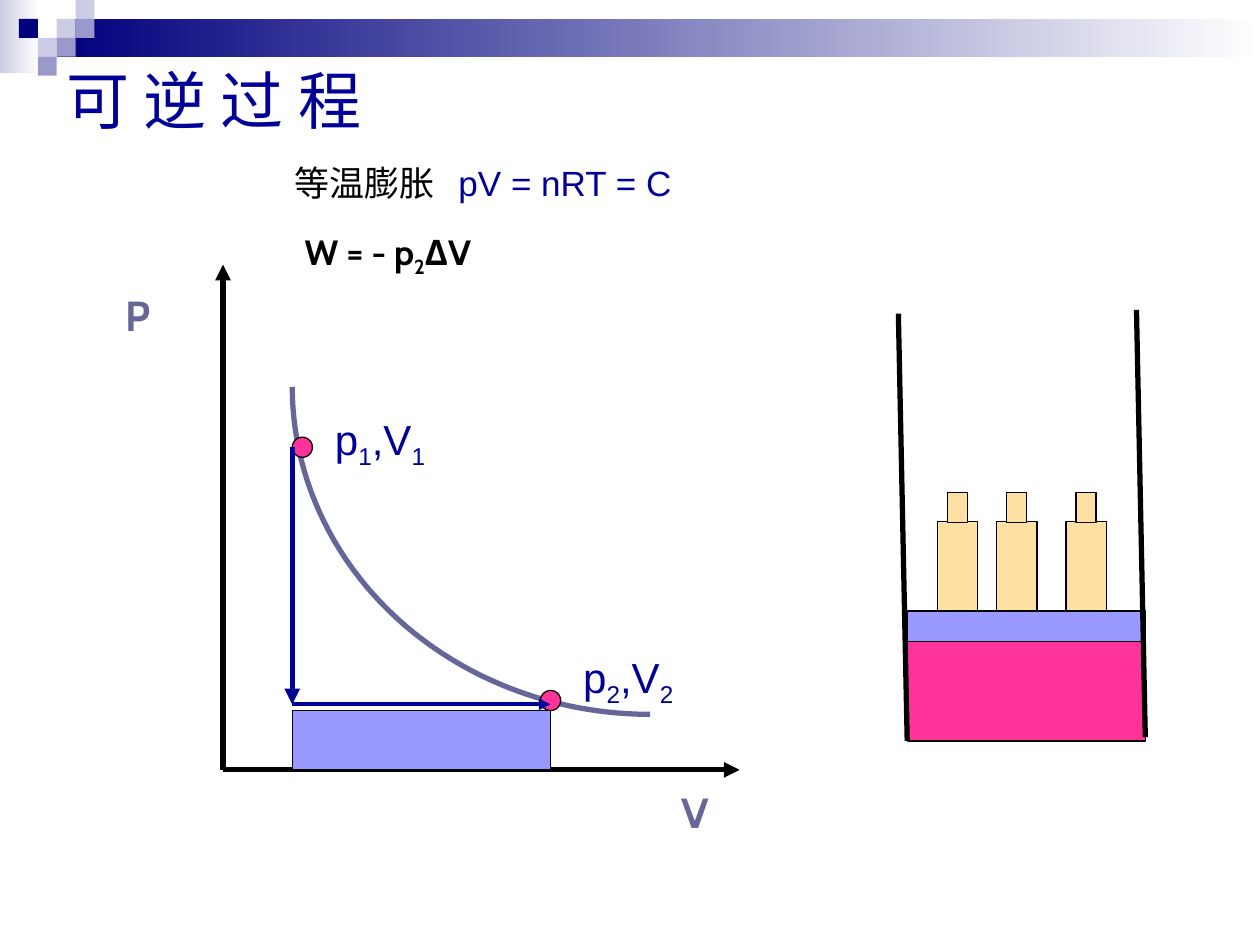
from dataclasses import dataclass
from math import cos, pi, sin

from lxml import etree
from pptx import Presentation
from pptx import util as u
from pptx.dml.color import RGBColor
from pptx.enum import shapes, text
from pptx.oxml import ns

NAVY = RGBColor(0x00, 0x00, 0x7D)
BLUE = RGBColor(0x00, 0x00, 0x99)
SLATE = RGBColor(0x66, 0x66, 0x99)
LAVENDER = RGBColor(0xCC, 0xCC, 0xE6)
MAUVE = RGBColor(0x99, 0x99, 0xCC)
PERIWINKLE = RGBColor(0x99, 0x99, 0xFF)
PINK = RGBColor(0xFF, 0x33, 0x99)
SAND = RGBColor(0xFF, 0xE0, 0xA3)
BLACK = RGBColor(0x00, 0x00, 0x00)
WHITE = RGBColor(0xFF, 0xFF, 0xFF)

RECTANGLE = shapes.MSO_SHAPE.RECTANGLE
OVAL = shapes.MSO_SHAPE.OVAL
SQUARE = 0.15
CURVE_STEPS = 48


@dataclass
class Frame:
    left: float
    top: float
    width: float
    height: float

    def lengths(self) -> list:
        return [u.Inches(value) for value in (self.left, self.top, self.width, self.height)]


@dataclass
class Span:
    words: str
    color: RGBColor
    subscript: bool = False


@dataclass
class Label:
    frame: Frame
    spans: list
    size: int
    name: str = "Arial"
    bold: bool = False
    tab: float = 0


@dataclass
class Line:
    start: tuple
    end: tuple
    color: RGBColor = BLACK
    width: float = 3
    arrow: bool = False


def add_block(page, frame: Frame, color: RGBColor, kind=RECTANGLE, outlined=True):
    block = page.shapes.add_shape(kind, *frame.lengths())
    block.shadow.inherit = False
    block.fill.solid()
    block.fill.fore_color.rgb = color
    if outlined:
        block.line.color.rgb = BLACK
        block.line.width = u.Pt(0.75)
    else:
        block.line.fill.background()
    return block


def add_fade(page, frame: Frame, color: RGBColor) -> None:
    fill = add_block(page, frame, color, outlined=False).fill
    fill.gradient()
    fill.gradient_angle = 0
    for stop, shade, position in zip(fill.gradient_stops, (color, WHITE), (0, 1)):
        stop.color.rgb = shade
        stop.position = position


def add_line(page, line: Line) -> None:
    ends = [u.Inches(value) for value in (*line.start, *line.end)]
    connector = page.shapes.add_connector(shapes.MSO_CONNECTOR.STRAIGHT, *ends)
    connector.line.color.rgb = line.color
    connector.line.width = u.Pt(line.width)
    if line.arrow:
        outline = connector.line._get_or_add_ln()
        etree.SubElement(outline, ns.qn("a:tailEnd"), type="triangle")
    etree.SubElement(connector._element.spPr, ns.qn("a:effectLst"))


def add_curve(page, frame: Frame) -> None:
    points = []
    for step in range(CURVE_STEPS + 1):
        angle = pi / 2 * step / CURVE_STEPS
        points.append((
            u.Inches(frame.left + frame.width * (1 - cos(angle))),
            u.Inches(frame.top + frame.height * sin(angle)),
        ))
    builder = page.shapes.build_freeform(*points[0])
    builder.add_line_segments(points[1:], close=False)
    curve = builder.convert_to_shape()
    curve.shadow.inherit = False
    curve.fill.background()
    curve.line.color.rgb = SLATE
    curve.line.width = u.Pt(3)


def write_label(box, label: Label) -> None:
    box.left, box.top, box.width, box.height = label.frame.lengths()
    frame_format = {
        "word_wrap": True,
        "auto_size": text.MSO_AUTO_SIZE.SHAPE_TO_FIT_TEXT,
        "vertical_anchor": text.MSO_ANCHOR.TOP,
    }
    for key, value in frame_format.items():
        setattr(box.text_frame, key, value)
    para = box.text_frame.paragraphs[0]
    para.alignment = text.PP_ALIGN.LEFT
    para.space_before = u.Pt(0)
    para.line_spacing = 1.0
    if label.tab:
        stops = etree.SubElement(para._p.get_or_add_pPr(), ns.qn("a:tabLst"))
        etree.SubElement(stops, ns.qn("a:tab"), pos=str(u.Inches(label.tab)), algn="l")
    font_format = {"size": u.Pt(label.size), "name": label.name, "bold": label.bold}
    for span in label.spans:
        run = para.add_run()
        run.text = span.words
        for key, value in font_format.items():
            setattr(run.font, key, value)
        run.font.color.rgb = span.color
        if span.subscript:
            run._r.get_or_add_rPr().set("baseline", "-25000")


def add_label(page, label: Label) -> None:
    write_label(page.shapes.add_textbox(*label.frame.lengths()), label)


def add_state(page, left: float, top: float, number: str) -> None:
    add_block(page, Frame(left, top, 0.16, 0.16), PINK, OVAL)
    spans = [
        Span("p", BLUE), Span(number, BLUE, True),
        Span(",V", BLUE), Span(number, BLUE, True),
    ]
    label_top = 3.23 if number == "1" else 5.12
    add_label(page, Label(Frame(left + 0.24, label_top, 1.18, 0.5), spans, 24))


def add_weight(page, left: float) -> None:
    add_block(page, Frame(left, 4.14, 0.32, 0.71), SAND)
    add_block(page, Frame(left + 0.08, 3.91, 0.16, 0.24), SAND)


def add_banner(page) -> None:
    add_fade(page, Frame(0, 0, 0.31, 0.58), LAVENDER)
    add_fade(page, Frame(0.45, 0.15, 9.55, 0.3), NAVY)
    checks = [
        (3, 1, LAVENDER), (4, 0, LAVENDER), (4, 1, MAUVE), (2, 2, LAVENDER),
        (1, 1, NAVY), (3, 2, MAUVE), (2, 3, MAUVE),
    ]
    for column, row, color in checks:
        frame = Frame(column * SQUARE, row * SQUARE, SQUARE, SQUARE)
        add_block(page, frame, color, outlined=False)


def add_piston(page) -> None:
    add_block(page, Frame(7.2, 5.09, 1.89, 0.79), PINK)
    add_block(page, Frame(7.2, 4.85, 1.89, 0.24), PERIWINKLE)
    add_line(page, Line((7.2, 5.88), (7.13, 2.49)))
    add_line(page, Line((9.09, 5.85), (9.02, 2.46)))
    for left in (7.44, 7.91, 8.46):
        add_weight(page, left)


def add_diagram(page) -> None:
    origin = (1.77, 6.11)
    corner = (2.32, 5.59)
    add_line(page, Line(origin, (1.77, 2.1), arrow=True))
    add_line(page, Line(origin, (5.87, 6.11), arrow=True))
    add_curve(page, Frame(2.32, 3.07, 2.84, 2.6))
    add_state(page, 2.32, 3.47, "1")
    add_state(page, 4.29, 5.48, "2")
    add_line(page, Line((2.32, 3.55), corner, BLUE, 3, True))
    add_line(page, Line(corner, (4.37, 5.59), BLUE, 2.25, True))
    add_block(page, Frame(2.32, 5.64, 2.05, 0.47), PERIWINKLE)
    for name, left, top in (("P", 0.9, 2.25), ("V", 5.31, 6.19)):
        add_label(page, Label(Frame(left, top, 0.55, 0.5), [Span(name, SLATE)], 24, "Cabin", True))


def main() -> None:
    deck = Presentation()
    deck.slide_width, deck.slide_height = u.Inches(10), u.Inches(7.5)
    page = deck.slides.add_slide(deck.slide_layouts[5])
    add_banner(page)
    write_label(page.shapes.title, Label(Frame(0.43, 0.44, 5.75, 0.7), [Span("可 逆 过 程", BLUE)], 36))
    law = [Span("等温膨胀\t", BLACK), Span("pV = nRT = C", BLUE)]
    add_label(page, Label(Frame(2.24, 1.23, 5.12, 0.43), law, 20, tab=1.3))
    add_diagram(page)
    add_piston(page)
    work = [Span("W = - p", BLACK), Span("2", BLACK, True), Span("ΔV", BLACK)]
    add_label(page, Label(Frame(2.32, 1.78, 3.31, 0.43), work, 20, "Cabin", True))
    deck.save("out.pptx")


if __name__ == "__main__":
    main()
